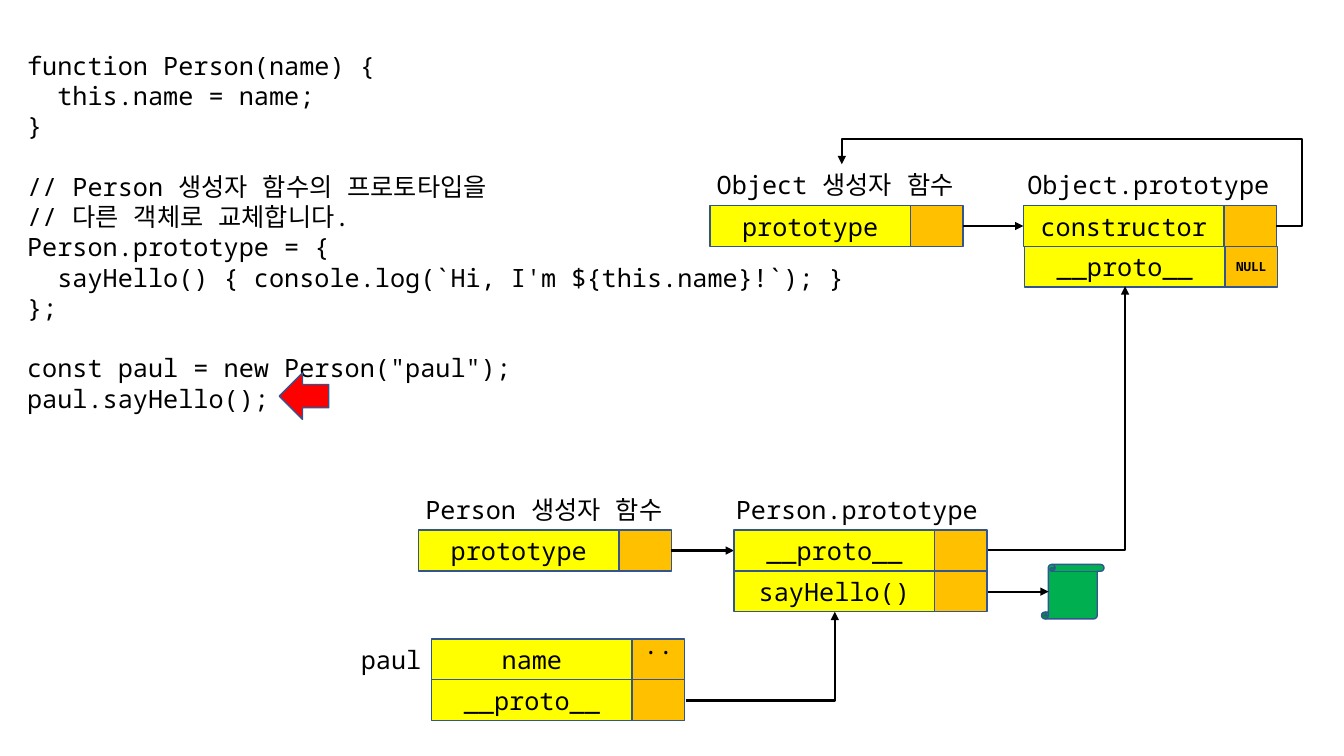
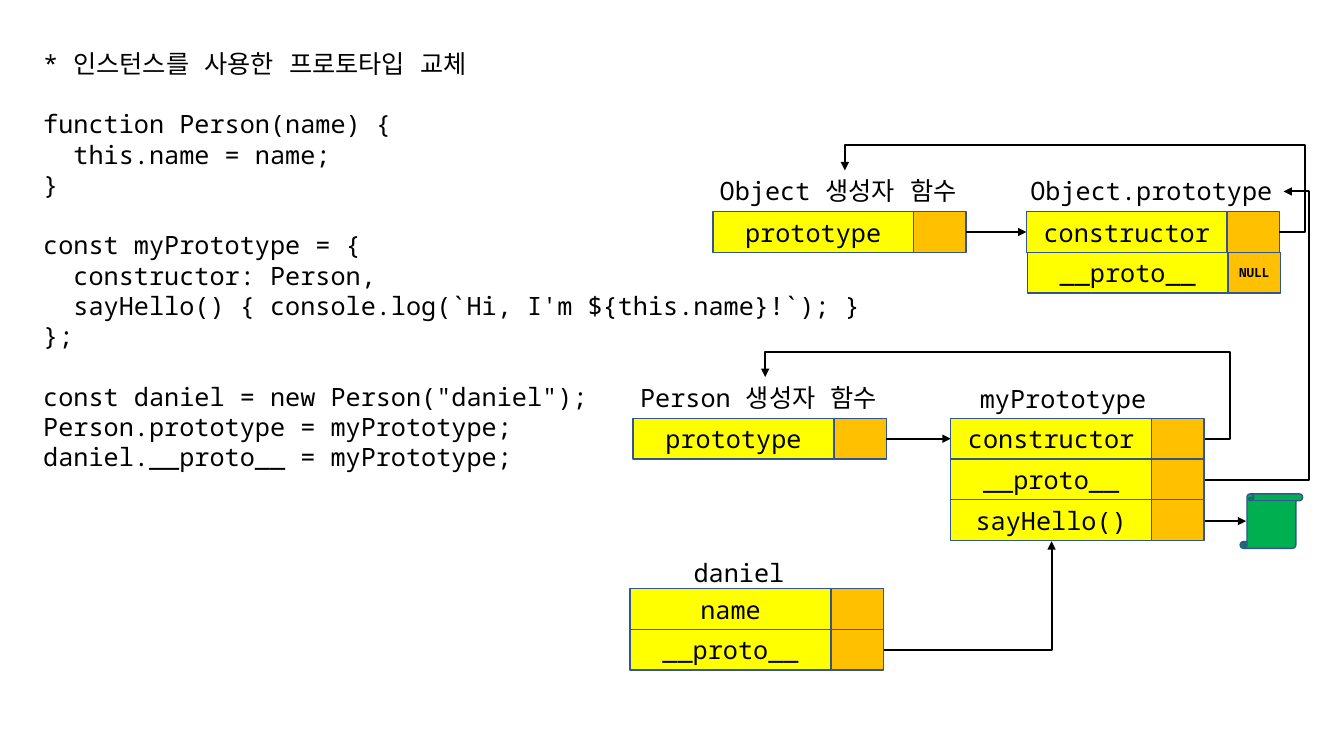
import pptx
import pptx.util
import pptx.dml.color
import pptx.enum.shapes
import pptx.enum.text
import pptx.oxml.ns
import lxml.etree

COLORS = {
    "text": "000000", "border": "325491", "name": "FFFF00",
    "value": "FFC000", "pointer": "FF0000", "method": "00B050",
}
SHAPES = pptx.enum.shapes.MSO_SHAPE
qn = pptx.oxml.ns.qn


def rgb(name):
    return pptx.dml.color.RGBColor.from_string(COLORS[name])


class Diagram:
    """Style and current slide; lengths are columns and rows of a square grid."""
    cell = pptx.util.Inches(0.1)
    font = "Noto Sans Mono"
    size = 18
    name_width, value_width, row_height = 19.9, 5.2, 4.04
    record_width = name_width + value_width
    middle = row_height / 2
    code_indent = 3
    section_gap = 21.6

    def __init__(self):
        self.presentation = pptx.Presentation()
        self.presentation.slide_width = pptx.util.Inches(13.33)
        self.presentation.slide_height = pptx.util.Inches(7.5)
        self.slide = None

    def new_slide(self):
        self.slide = self.presentation.slides.add_slide(self.presentation.slide_layouts[6])

    def grid(self, *lengths):
        return [round(length * self.cell) for length in lengths]

    def format_runs(self, paragraph, size=size, bold=False):
        for run in paragraph.runs:
            run.font.name = self.font
            run.font.size = pptx.util.Pt(size)
            run.font.bold = bold
            run.font.color.rgb = rgb("text")
            east_asian = lxml.etree.SubElement(run.font._element, qn("a:ea"))
            east_asian.set("typeface", self.font)

    # Text
    def text_box(self, left, top, width, height):
        text_frame = self.slide.shapes.add_textbox(
            *self.grid(left, top, width, height)).text_frame
        text_frame.word_wrap = False
        text_frame.auto_size = pptx.enum.text.MSO_AUTO_SIZE.SHAPE_TO_FIT_TEXT
        return text_frame

    def label(self, left, top, width, text):
        text_frame = self.text_box(left, top, width, self.row_height)
        text_frame.text = text
        self.format_runs(text_frame.paragraphs[0])

    def code(self, left, top, height, sections):
        """Each section is a list of lines; a leading tab marks an indented line."""
        text_frame = self.text_box(left, top, 83.4, height)
        text_frame.text = "\n".join(
            line.lstrip("\t") for section in sections for line in section)
        paragraphs = iter(text_frame.paragraphs)
        for section_index, section in enumerate(sections):
            for line_index, line in enumerate(section):
                paragraph = next(paragraphs)
                self.format_runs(paragraph)
                if section_index and not line_index:
                    paragraph.space_before = pptx.util.Pt(self.section_gap)
                if line.startswith("\t"):
                    margin, = self.grid(self.code_indent)
                    paragraph._p.get_or_add_pPr().set("marL", str(margin))

    # Shapes
    def shape(self, kind, left, top, width, height, fill, text="", size=size, bold=False):
        shape = self.slide.shapes.add_shape(kind, *self.grid(left, top, width, height))
        shape.shadow.inherit = False
        shape.fill.solid()
        shape.fill.fore_color.rgb = rgb(fill)
        shape.line.color.rgb = rgb("border")
        shape.line.width = pptx.util.Pt(1)
        if text:
            shape.text_frame.text = text
            shape.text_frame.vertical_anchor = pptx.enum.text.MSO_ANCHOR.MIDDLE
            paragraph = shape.text_frame.paragraphs[0]
            paragraph.alignment = pptx.enum.text.PP_ALIGN.CENTER
            self.format_runs(paragraph, size, bold)

    def record(self, left, top, *rows):
        """Stack rows of (property name, value)."""
        for index, (name, value) in enumerate(rows):
            row_top = top + index * self.row_height
            null = value == "NULL"
            self.shape(SHAPES.RECTANGLE, left, row_top, self.name_width,
                       self.row_height, "name", name)
            self.shape(SHAPES.RECTANGLE, left + self.name_width, row_top,
                       self.value_width, self.row_height, "value", value,
                       9 if null else self.size, null)

    def method_scroll(self, left, top):
        self.shape(SHAPES.VERTICAL_SCROLL, left, top, 6.2, 5.4, "method")

    # Arrows
    def connector(self, kind, start, end):
        connector = self.slide.shapes.add_connector(kind, *self.grid(*start, *end))
        connector.line.color.rgb = rgb("text")
        connector.line.width = pptx.util.Pt(1.5)
        tail = lxml.etree.SubElement(connector.line._get_or_add_ln(), qn("a:tailEnd"))
        tail.set("type", "triangle")
        lxml.etree.SubElement(connector._element.spPr, qn("a:effectLst"))
        return connector

    def arrow(self, left, right, row):
        self.connector(pptx.enum.shapes.MSO_CONNECTOR.STRAIGHT, (left, row), (right, row))

    def elbow(self, start, end, *turns):
        """Leave sideways; turns are the column, then the row, to bend at."""
        connector = self.connector(pptx.enum.shapes.MSO_CONNECTOR.ELBOW, start, end)
        geometry = connector._element.spPr.find(qn("a:prstGeom"))
        geometry.set("prst", f"bentConnector{2 + len(turns)}")
        adjustments = geometry.find(qn("a:avLst"))
        for index, (turn, first, last) in enumerate(zip(turns, start, end), 1):
            share = round((turn - first) / (last - first) * 100000)
            guide = lxml.etree.SubElement(adjustments, qn("a:gd"))
            guide.set("name", f"adj{index}")
            guide.set("fmla", f"val {share}")

    def constructor_loop(self, right, top, target):
        """Lead from a constructor row back to its function's label."""
        self.elbow((right, top + self.middle), (target, top - 4.1),
                   right + 2.5, top - 6.6)

    # Groups
    def constructor_function(self, left, top, name, prototype_left):
        self.label(left - 0.3, top - 4.05, 26.7, f"{name} 생성자 함수")
        self.record(left, top, ("prototype", ""))
        self.arrow(left + self.record_width, prototype_left, top + self.middle)

    def object_pair(self, left, top):
        prototype_left = left + 31.1
        self.constructor_function(left, top, "Object", prototype_left)
        self.label(prototype_left - 0.6, top - 4.05, 26.1, "Object.prototype")
        self.record(prototype_left, top, ("constructor", ""))
        self.record(prototype_left + 0.1, top + self.row_height, ("__proto__", "NULL"))
        self.constructor_loop(prototype_left + self.record_width, top, left + 13.1)


diagram = Diagram()
greeting = "\tsayHello() { console.log(`Hi, I'm ${this.name}!`); }"
person = ["function Person(name) {", "\tthis.name = name;", "}"]

# Slide 1: prototype replaced through the constructor function
diagram.new_slide()
diagram.code(1.7, 4.5, 37.4, [
    person,
    ["// Person 생성자 함수의 프로토타입을", "// 다른 객체로 교체합니다.",
     "Person.prototype = {", greeting, "};"],
    ['const paul = new Person("paul");', "paul.sayHello();"],
])
diagram.object_pair(70.4, 20.4)
diagram.constructor_function(41.5, 52.6, "Person", 72.8)
diagram.label(72, 48.6, 26.1, "Person.prototype")
diagram.record(72.8, 52.6, ("__proto__", ""), ("sayHello()", ""))
diagram.elbow((98, 54.6), (111.6, 28.4))
diagram.method_scroll(103.3, 56)
diagram.arrow(98, 104, 58.7)
diagram.label(34.8, 63.4, 8.1, "paul")
diagram.record(42.8, 63.4, ("name", "..."), ("__proto__", ""))
diagram.elbow((68, 69.5), (82.8, 60.7))
diagram.shape(SHAPES.LEFT_ARROW, 27.7, 37, 4.9, 4.6, "pointer")

# Slide 2: prototype replaced through the instance
diagram.new_slide()
diagram.code(3.3, 4.3, 43.4, [
    ["* 인스턴스를 사용한 프로토타입 교체"],
    person,
    ["const myPrototype = {", "\tconstructor: Person,", greeting, "};"],
    ['const daniel = new Person("daniel");', "Person.prototype = myPrototype;",
     "daniel.__proto__ = myPrototype;"],
])
diagram.object_pair(70.7, 21)
diagram.constructor_function(62.8, 41.5, "Person", 94.3)
diagram.label(96.2, 37.5, 18.6, "myPrototype")
diagram.record(94.3, 41.5, ("constructor", ""), ("__proto__", ""), ("sayHello()", ""))
diagram.constructor_loop(119.5, 41.5, 75.9)
diagram.elbow((119.5, 47.6), (127.3, 19), 129.8)
diagram.method_scroll(123, 49)
diagram.arrow(119.5, 123.6, 51.7)
diagram.label(67.8, 54.8, 11.1, "daniel")
diagram.record(62.5, 58.4, ("name", ""), ("__proto__", ""))
diagram.elbow((87.7, 64.5), (104.3, 53.7))

diagram.presentation.save("out.pptx")
